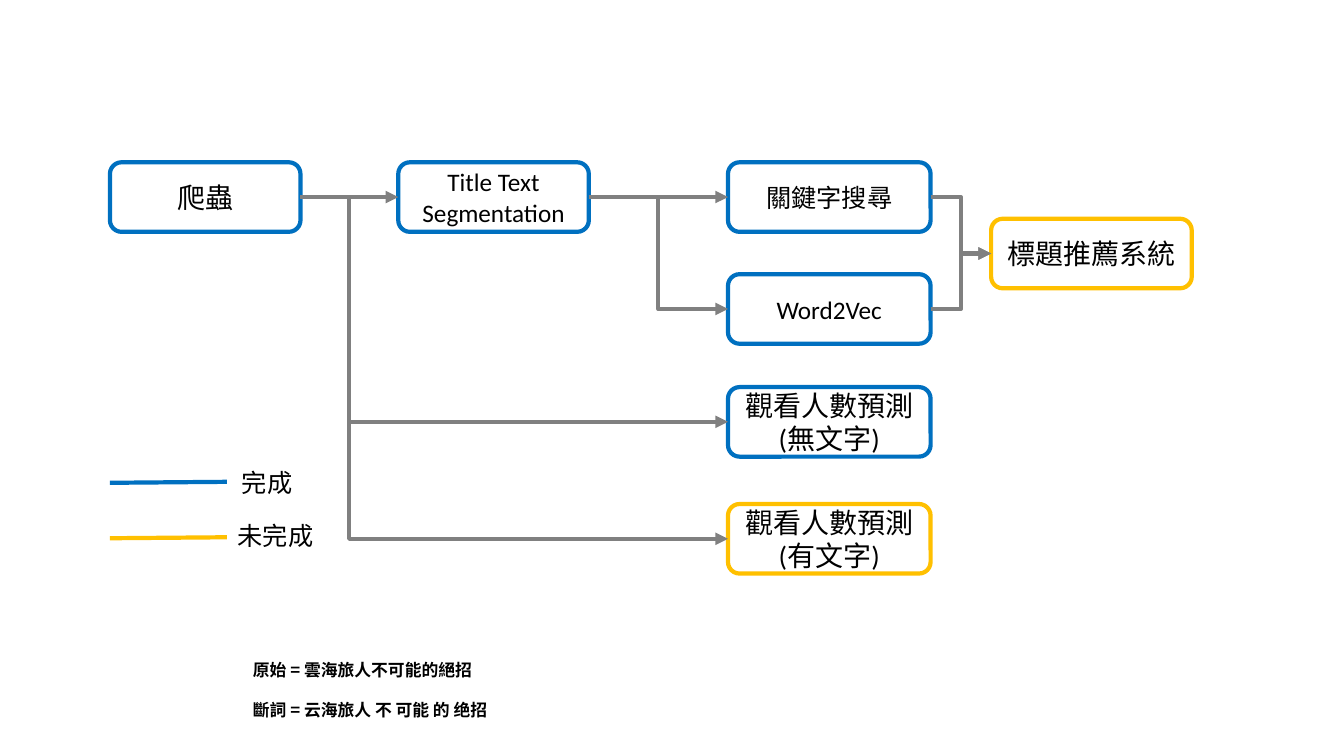
import pptx
import pptx.util
import pptx.dml.color
import pptx.enum.shapes
import pptx.enum.text
import pptx.oxml.ns
from lxml import etree
from pptx.util import Inches, Pt

DONE, PENDING, ARROW, TEXT = "0070C0", "FFC000", "808080", "000000"
STRAIGHT = pptx.enum.shapes.MSO_CONNECTOR.STRAIGHT
ELBOW = pptx.enum.shapes.MSO_CONNECTOR.ELBOW
qn = pptx.oxml.ns.qn


def paint(color_format, value):
    color_format.rgb = pptx.dml.color.RGBColor.from_string(value)


def add_line(kind, start, end, color):
    line = slide.shapes.add_connector(kind, *map(Inches, start + end))
    paint(line.line.color, color)
    line.line.width = Pt(3)
    etree.SubElement(line._element.spPr, qn("a:effectLst"))
    return line


prs = pptx.Presentation()
prs.slide_width, prs.slide_height = Inches(13.33), Inches(7.5)
slide = prs.slides.add_slide(prs.slide_layouts[6])

steps = [
    ("crawler", "爬蟲", 1.09, 1.61, 1.89, DONE, 20),
    ("segmentation", "Title Text Segmentation", 3.95, 1.61, 1.89, DONE, 18),
    ("keyword", "關鍵字搜尋", 7.22, 1.61, 2.01, DONE, 18),
    ("word2vec", "Word2Vec", 7.22, 2.72, 2.01, DONE, 18),
    ("recommender", "標題推薦系統", 9.83, 2.17, 1.99, PENDING, 20),
    ("views_no_text", "觀看人數預測(無文字)", 7.22, 3.84, 2.01, DONE, 20),
    ("views_with_text", "觀看人數預測(有文字)", 7.22, 5, 2.01, PENDING, 20),
]
boxes = {}
for key, label, left, top, width, color, size in steps:
    box = slide.shapes.add_shape(
        pptx.enum.shapes.MSO_SHAPE.ROUNDED_RECTANGLE,
        Inches(left), Inches(top), Inches(width), Inches(0.69))
    box.shadow.inherit = False
    box.fill.background()
    paint(box.line.color, color)
    box.line.width = Pt(3)
    frame = box.text_frame
    frame.word_wrap = True
    frame.vertical_anchor = pptx.enum.text.MSO_ANCHOR.MIDDLE
    frame.text = label
    frame.paragraphs[0].alignment = pptx.enum.text.PP_ALIGN.CENTER
    font = frame.paragraphs[0].runs[0].font
    font.size, font.name = Pt(size), "Calibri"
    paint(font.color, TEXT)
    boxes[key] = box

flows = [
    ("crawler", "segmentation", STRAIGHT, None),
    ("segmentation", "keyword", STRAIGHT, None),
    ("segmentation", "word2vec", ELBOW, 50000),
    ("crawler", "views_no_text", ELBOW, 11400),
    ("crawler", "views_with_text", ELBOW, 11400),
    ("word2vec", "recommender", ELBOW, 50000),
    ("keyword", "recommender", ELBOW, 50000),
]
for source, target, kind, bend in flows:
    flow = add_line(kind, (0, 0), (1, 1), ARROW)
    flow.begin_connect(boxes[source], 3)
    flow.end_connect(boxes[target], 1)
    etree.SubElement(flow.line._get_or_add_ln(), qn("a:tailEnd"), type="triangle")
    if bend:
        guides = flow._element.spPr.find(qn("a:prstGeom")).find(qn("a:avLst"))
        etree.SubElement(guides, qn("a:gd"), name="adj1", fmla=f"val {bend}")

legend = [
    ("完成", DONE, 4.79, 2.3, 4.59, 0.71),
    ("未完成", PENDING, 5.34, 2.26, 5.11, 0.96),
]
for label, color, line_y, left, top, width in legend:
    add_line(STRAIGHT, (1.09, line_y), (2.25, line_y - 0.01), color)
    caption = slide.shapes.add_textbox(
        Inches(left), Inches(top), Inches(width), Inches(0.4))
    caption.text_frame.word_wrap = False
    caption.text_frame.text = label
    font = caption.text_frame.paragraphs[0].runs[0].font
    font.size, font.name = Pt(18), "Calibri"
    paint(font.color, TEXT)

example = slide.shapes.add_textbox(Inches(2.41), Inches(6.5), Inches(2.81), Inches(0.71))
example.text_frame.word_wrap = True
example.text_frame.text = "原始 = 雲海旅人不可能的絕招\n斷詞 = 云海旅人 不 可能 的 绝招"
example.text_frame.paragraphs[1].space_before = Pt(14)
for paragraph in example.text_frame.paragraphs:
    font = paragraph.runs[0].font
    font.size, font.name, font.bold = Pt(12), "Noto Sans CJK SC", True
    paint(font.color, TEXT)

prs.save("out.pptx")
